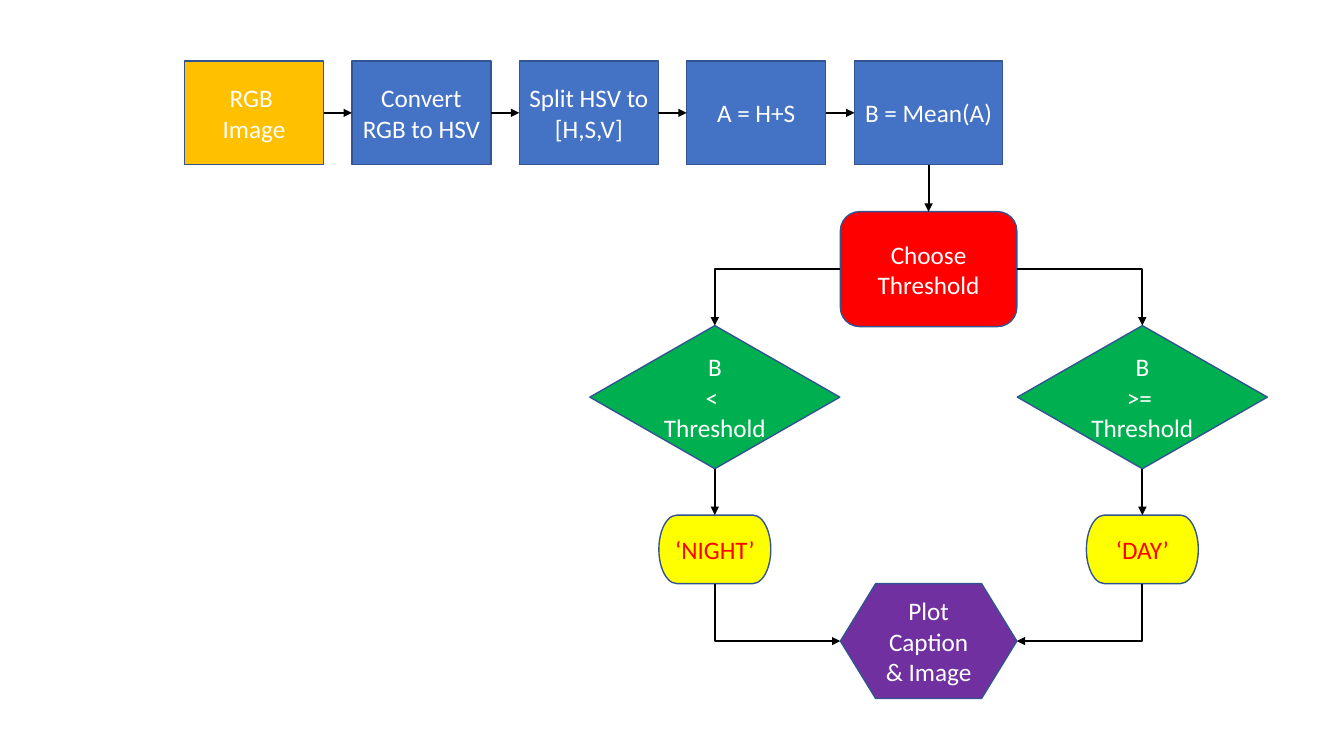
import dataclasses
import typing

import pptx
import pptx.dml.color
import pptx.enum.shapes
import pptx.enum.text
import pptx.oxml
import pptx.oxml.ns
import pptx.util

Inches = pptx.util.Inches
Forms = pptx.enum.shapes.MSO_SHAPE
Lines = pptx.enum.shapes.MSO_CONNECTOR

COLORS = {
    "amber": "FFC000", "blue": "4472C4", "red": "FF0000", "green": "00B050",
    "yellow": "FFFF00", "purple": "7030A0", "outline": "325491",
    "white": "FFFFFF", "black": "000000",
}

# Grid of box centres, in inches: four chain columns, then the spine with a branch on each side.
SPINE, BRANCH = 9.21, 2.12
COLUMNS = {f"chain{i}": 2.52 + 1.66 * i for i in range(4)}
COLUMNS |= {"left": SPINE - BRANCH, "spine": SPINE, "right": SPINE + BRANCH}
ROWS = {"chain": 1.12, "threshold": 2.67, "test": 3.94, "label": 5.45, "plot": 6.36}

# Connection sites of a shape
TOP, LEFT, BOTTOM, RIGHT = range(4)


@dataclasses.dataclass(frozen=True)
class Style:
    form: Forms
    fill: str
    width: float
    height: float
    text: str = "white"


@dataclasses.dataclass(frozen=True)
class Step:
    name: str
    column: str
    row: str
    style: Style
    lines: tuple[str, ...]


@dataclasses.dataclass(frozen=True)
class Arrow:
    start: str
    start_site: int
    end: str
    end_site: int


SOURCE = Style(Forms.FLOWCHART_PROCESS, "amber", 1.38, 1.03)
PROCESS = dataclasses.replace(SOURCE, fill="blue")
MEAN = dataclasses.replace(PROCESS, width=1.47)
CHOICE = Style(Forms.FLOWCHART_ALTERNATE_PROCESS, "red", 1.75, 1.14)
TEST = Style(Forms.FLOWCHART_DECISION, "green", 2.48, 1.42)
LABEL = Style(Forms.FLOWCHART_TERMINATOR, "yellow", 1.11, 0.68, "red")
PLOT = Style(Forms.FLOWCHART_PREPARATION, "purple", 1.75, 1.14)

STEPS = [
    Step("image", "chain0", "chain", SOURCE, ("RGB ", "Image")),
    Step("convert", "chain1", "chain", PROCESS, ("Convert RGB to HSV",)),
    Step("split", "chain2", "chain", PROCESS, ("Split HSV to [H,S,V]",)),
    Step("sum", "chain3", "chain", PROCESS, ("A = H+S",)),
    Step("mean", "spine", "chain", MEAN, ("B = Mean(A)",)),
    Step("choose", "spine", "threshold", CHOICE, ("Choose", "Threshold")),
    Step("below", "left", "test", TEST, ("B", "< ", "Threshold")),
    Step("above", "right", "test", TEST, ("B", ">= ", "Threshold")),
    Step("night", "left", "label", LABEL, ("‘NIGHT’",)),
    Step("day", "right", "label", LABEL, ("‘DAY’",)),
    Step("plot", "spine", "plot", PLOT, ("Plot Caption & Image",)),
]

CHAIN = [step.name for step in STEPS if step.row == "chain"]
ARROWS = [Arrow(start, RIGHT, end, LEFT) for start, end in zip(CHAIN, CHAIN[1:])]
ARROWS.append(Arrow("mean", BOTTOM, "choose", TOP))
for side, test, label in ((LEFT, "below", "night"), (RIGHT, "above", "day")):
    ARROWS += [
        Arrow("choose", side, test, TOP),
        Arrow(test, BOTTOM, label, TOP),
        Arrow(label, BOTTOM, "plot", side),
    ]


def color(name: str) -> pptx.dml.color.RGBColor:
    return pptx.dml.color.RGBColor.from_string(COLORS[name])


def draw_step(page: typing.Any, step: Step) -> typing.Any:
    style = step.style
    box = page.shapes.add_shape(
        style.form,
        Inches(COLUMNS[step.column] - style.width / 2),
        Inches(ROWS[step.row] - style.height / 2),
        Inches(style.width),
        Inches(style.height),
    )
    box.shadow.inherit = False
    box.fill.solid()
    box.fill.fore_color.rgb = color(style.fill)
    box.line.color.rgb = color("outline")
    box.line.width = pptx.util.Pt(1)
    frame = box.text_frame
    frame.word_wrap = True
    frame.vertical_anchor = pptx.enum.text.MSO_ANCHOR.MIDDLE
    frame.text = "\n".join(step.lines)
    for para in frame.paragraphs:
        para.alignment = pptx.enum.text.PP_ALIGN.CENTER
        para.font.name = "Calibri"
        para.font.size = pptx.util.Pt(18)
        para.font.color.rgb = color(style.text)
    return box


def turn_corner(link: typing.Any, vertical_first: bool) -> None:
    """Give an elbow a single corner; a vertical first leg needs a quarter turn."""
    properties = link._element.spPr
    properties.find(pptx.oxml.ns.qn("a:prstGeom")).set("prst", "bentConnector2")
    if not vertical_first:
        return
    goes_right = link.end_x > link.begin_x
    left, top, width, height = link.left, link.top, link.width, link.height
    link.left = left + (width - height) // 2
    link.top = top + (height - width) // 2
    link.width, link.height = height, width
    frame = properties.find(pptx.oxml.ns.qn("a:xfrm"))
    frame.set("rot", str((270 if goes_right else 90) * 60000))
    frame.set("flipH", "1" if goes_right else "0")


def draw_arrow(page: typing.Any, arrow: Arrow, boxes: dict[str, typing.Any]) -> None:
    is_straight = arrow.start_site % 2 == arrow.end_site % 2
    kind = Lines.STRAIGHT if is_straight else Lines.ELBOW
    link = page.shapes.add_connector(kind, 0, 0, 0, 0)
    link.begin_connect(boxes[arrow.start], arrow.start_site)
    link.end_connect(boxes[arrow.end], arrow.end_site)
    if not is_straight:
        turn_corner(link, arrow.start_site == BOTTOM)
    link.line.color.rgb = color("black")
    link.line.width = pptx.util.Pt(1.5)
    namespace = pptx.oxml.ns.nsdecls("a")
    properties = link._element.spPr
    properties.find(pptx.oxml.ns.qn("a:ln")).append(
        pptx.oxml.parse_xml(f'<a:tailEnd {namespace} type="triangle"/>')
    )
    properties.append(pptx.oxml.parse_xml(f"<a:effectLst {namespace}/>"))


def main() -> None:
    deck = pptx.Presentation()
    deck.slide_width, deck.slide_height = Inches(13.33), Inches(7.5)
    blank_layout = deck.slide_layouts[6]
    page = deck.slides.add_slide(blank_layout)
    boxes = {step.name: draw_step(page, step) for step in STEPS}
    for arrow in ARROWS:
        draw_arrow(page, arrow, boxes)
    deck.save("out.pptx")


if __name__ == "__main__":
    main()
